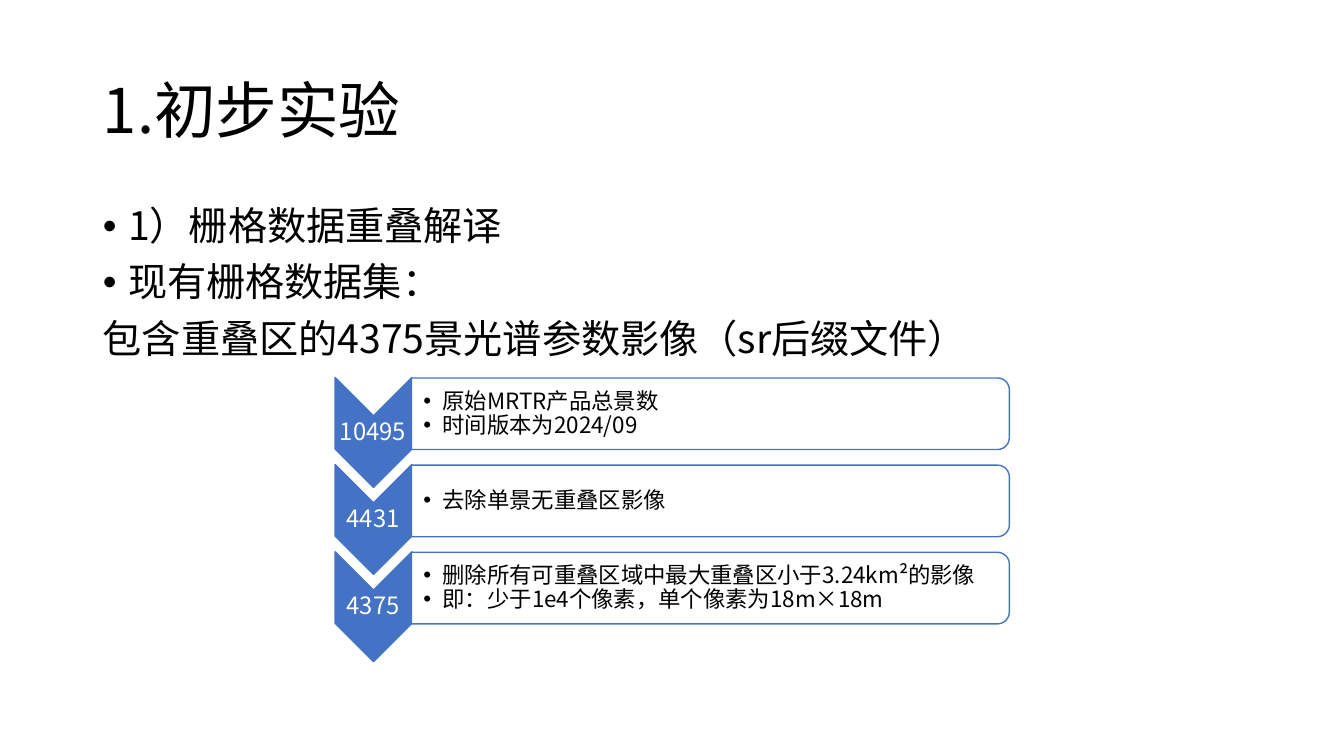
from lxml import etree
from pptx import Presentation
from pptx.dml.color import RGBColor
from pptx.enum.shapes import MSO_SHAPE
from pptx.enum.text import MSO_ANCHOR, MSO_AUTO_SIZE, PP_ALIGN
from pptx.oxml.ns import qn
from pptx.util import Inches, Pt

CHEVRON = MSO_SHAPE.CHEVRON
PANEL = MSO_SHAPE.ROUND_2_SAME_RECTANGLE
MIDDLE, TOP = MSO_ANCHOR.MIDDLE, MSO_ANCHOR.TOP
LEFT, CENTER = PP_ALIGN.LEFT, PP_ALIGN.CENTER
FIXED = MSO_AUTO_SIZE.NONE

FONT = "Noto Sans CJK SC"
BLUE, WHITE, BLACK = "4472C4", "FFFFFF", "000000"
INSET = (0.1, 0.05, 0.1, 0.05)
TIGHT = (0.01, 0.01, 0.01, 0.01)
WIDE = (0.12, 0.01, 0.01, 0.01)

STEPS = [
    ("10495", ["原始MRTR产品总景数", "时间版本为2024/09"]),
    ("4431", ["去除单景无重叠区影像"]),
    ("4375", ["删除所有可重叠区域中最大重叠区小于3.24km²的影像",
              "即：少于1e4个像素，单个像素为18m×18m"]),
]


def color(code):
    return RGBColor.from_string(code)


class Deck:
    def __init__(self):
        self.show = Presentation()
        self.show.slide_width = Inches(13.33)
        self.show.slide_height = Inches(7.5)
        self.slide = self.show.slides.add_slide(self.show.slide_layouts[1])

    def place(self, x, y, w, h):
        wide, high = self.show.slide_width / 100, self.show.slide_height / 100
        return int(x * wide), int(y * high), int(w * wide), int(h * high)

    def mark(self, para, indent):
        props = para._p.get_or_add_pPr()
        props.set("marL", str(Inches(indent)))
        props.set("indent", str(-Inches(indent)))
        if indent:
            font = etree.SubElement(props, qn("a:buFont"))
            font.set("typeface", "Arial")
            etree.SubElement(props, qn("a:buChar")).set("char", "•")
        else:
            etree.SubElement(props, qn("a:buNone"))

    def typeset(self, frame, lines, size, ink=BLACK, align=LEFT,
                anchor=MIDDLE, inset=INSET, gap=0):
        frame.word_wrap = True
        frame.auto_size = FIXED
        frame.vertical_anchor = anchor
        (frame.margin_left, frame.margin_top,
         frame.margin_right, frame.margin_bottom) = map(Inches, inset)
        for row, (text, indent) in enumerate(lines):
            para = frame.add_paragraph() if row else frame.paragraphs[0]
            para.alignment = align
            para.line_spacing = 0.9
            para.space_before = Pt(gap if row else 0)
            para.space_after = Pt(0)
            self.mark(para, indent)
            run = para.add_run()
            run.text = text
            run.font.size = Pt(size)
            run.font.name = FONT
            run.font.color.rgb = color(ink)
            east = etree.SubElement(run._r.get_or_add_rPr(), qn("a:ea"))
            east.set("typeface", FONT)

    def fill_in(self, index, box, lines, size, **style):
        holder = self.slide.placeholders[index]
        (holder.left, holder.top,
         holder.width, holder.height) = self.place(*box)
        self.typeset(holder.text_frame, lines, size, **style)

    def label(self, box, lines, size, **style):
        area = self.slide.shapes.add_textbox(*self.place(*box))
        self.typeset(area.text_frame, lines, size, **style)

    def turned(self, kind, box, fill):
        x, y, w, h = self.place(*box)
        shape = self.slide.shapes.add_shape(
            kind, x + (w - h) // 2, y + (h - w) // 2, h, w)
        shape.rotation = 90
        shape.shadow.inherit = False
        shape.fill.solid()
        shape.fill.fore_color.rgb = color(fill)
        shape.line.color.rgb = color(BLUE)
        shape.line.width = Pt(1)

    def step(self, y, count, notes):
        self.turned(CHEVRON, (24.94, y, 5.7, 14.53), BLUE)
        self.label((24.91, y + 5.13, 5.7, 4.4), [(count, 0)], 17,
                   ink=WHITE, align=CENTER, inset=TIGHT)
        self.turned(PANEL, (30.61, y + 0.07, 44.49, 9.47), WHITE)
        self.label((30.61, y + 0.6, 44.26, 8.53),
                   [(note, 0.19) for note in notes], 16, inset=WIDE)


def main():
    deck = Deck()
    deck.fill_in(0, (6.9, 5.33, 86.27, 19.33), [("1.初步实验", 0)], 44)
    deck.fill_in(1, (6.9, 26.67, 86.27, 63.47), [
        ("1）栅格数据重叠解译", 0.25),
        ("现有栅格数据集：", 0.25),
        ("包含重叠区的4375景光谱参数影像（sr后缀文件）", 0),
    ], 28, anchor=TOP, gap=10)
    for row, (count, notes) in enumerate(STEPS):
        deck.step(49.93 + row * 11.53, count, notes)
    deck.show.save("out.pptx")


if __name__ == "__main__":
    main()
